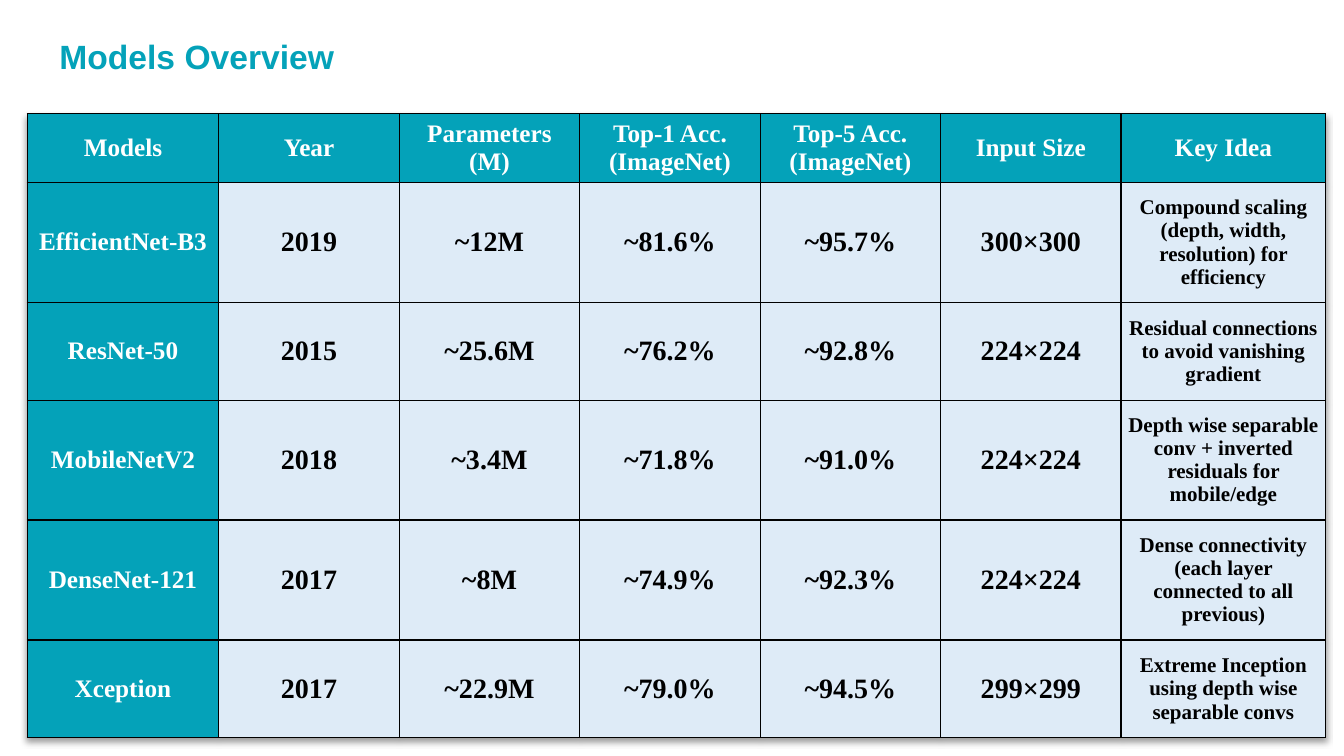
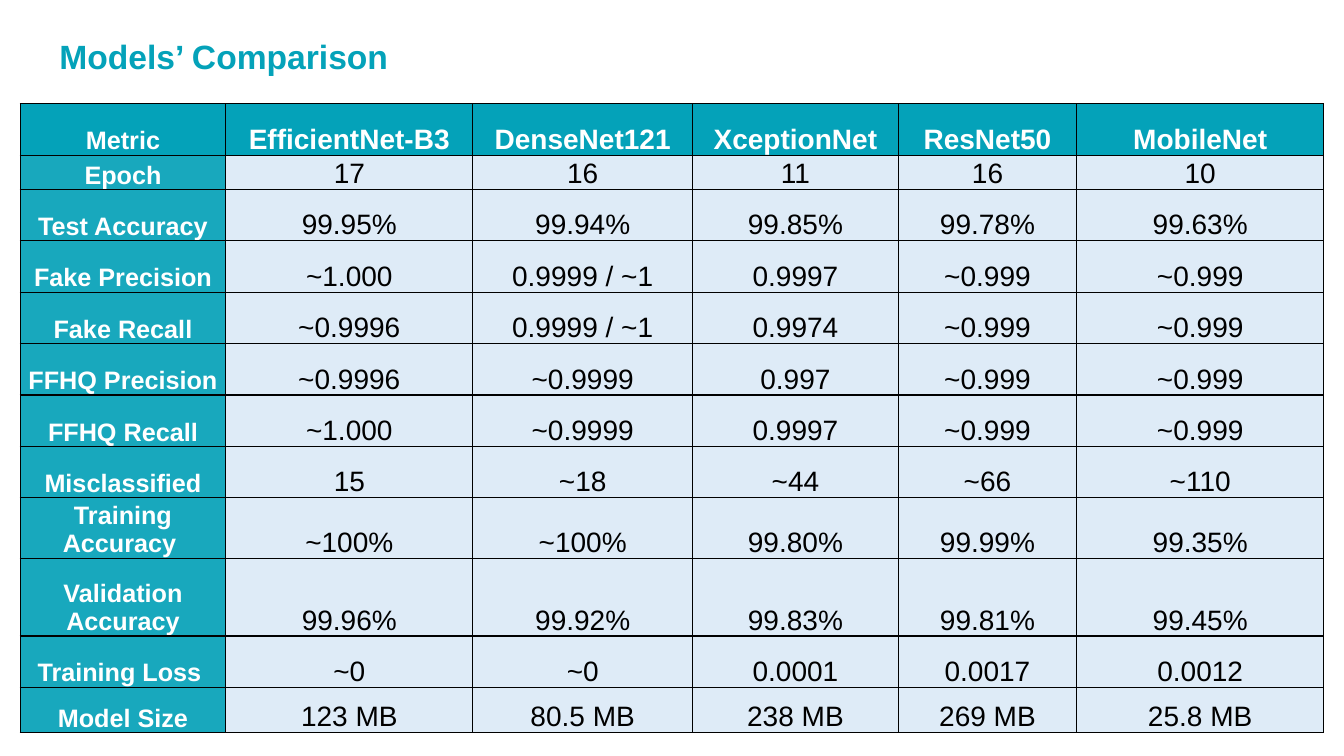
from dataclasses import dataclass

import lxml.etree
import pptx
import pptx.dml.color
import pptx.enum.text
import pptx.oxml
import pptx.oxml.ns
import pptx.presentation
import pptx.slide
import pptx.table
import pptx.util
from pptx.util import Inches

RGB = pptx.dml.color.RGBColor.from_string
ANCHOR = pptx.enum.text.MSO_ANCHOR
ALIGN = pptx.enum.text.PP_ALIGN


# Shared theme
@dataclass(frozen=True)
class Theme:
    teal: str = "04A2B9"
    light_teal: str = "18A8BD"
    pale_blue: str = "DEEBF7"
    white: str = "FFFFFF"
    black: str = "000000"
    sans: str = "Arial"
    serif: str = "Times New Roman"
    title_size: int = 24
    body_size: int = 20
    label_size: int = 18
    note_size: int = 15
    border_width: int = 1


THEME = Theme()


@dataclass(frozen=True)
class TextStyle:
    size: int
    color: str
    bold: bool


@dataclass(frozen=True)
class CellStyle:
    fill: str
    text: TextStyle


LABEL = TextStyle(THEME.label_size, THEME.white, True)


@dataclass(frozen=True)
class TableSlide:
    title: str
    left: float
    top: float
    column_widths: list[float]
    row_heights: list[float]
    rows: list[tuple[str, ...]]
    font: str
    anchor: ANCHOR
    vertical_margin: float
    corner: CellStyle
    header: CellStyle
    row_label: CellStyle
    body: CellStyle
    last_column: CellStyle
    shadow: bool = False

    def style_at(self, row: int, column: int) -> CellStyle:
        if row == 0:
            return self.header if column else self.corner
        if column == 0:
            return self.row_label
        is_last = column == len(self.column_widths) - 1
        return self.last_column if is_last else self.body


# Slide content
HEADER_LABEL = CellStyle(THEME.teal, LABEL)
OVERVIEW_BODY = TextStyle(THEME.body_size, THEME.black, True)
OVERVIEW_NOTE = TextStyle(THEME.note_size, THEME.black, True)

OVERVIEW = TableSlide(
    title="Models Overview",
    left=0.27,
    top=1.13,
    column_widths=[1.9] + [1.79] * 5 + [2.03],
    row_heights=[0.67, 1.19, 0.97, 1.19, 1.19, 0.97],
    rows=[
        ("Models", "Year", "Parameters (M)", "Top-1 Acc. (ImageNet)",
         "Top-5 Acc. (ImageNet)", "Input Size", "Key Idea"),
        ("EfficientNet-B3", "2019", "~12M", "~81.6%", "~95.7%", "300×300",
         "Compound scaling (depth, width, resolution) for efficiency"),
        ("ResNet-50", "2015", "~25.6M", "~76.2%", "~92.8%", "224×224",
         "Residual connections to avoid vanishing gradient"),
        ("MobileNetV2", "2018", "~3.4M", "~71.8%", "~91.0%", "224×224",
         "Depth wise separable conv + inverted residuals for mobile/edge"),
        ("DenseNet-121", "2017", "~8M", "~74.9%", "~92.3%", "224×224",
         "Dense connectivity (each layer connected to all previous)"),
        ("Xception", "2017", "~22.9M", "~79.0%", "~94.5%", "299×299",
         "Extreme Inception using depth wise separable convs"),
    ],
    font=THEME.serif,
    anchor=ANCHOR.MIDDLE,
    vertical_margin=0.04,
    corner=HEADER_LABEL,
    header=HEADER_LABEL,
    row_label=HEADER_LABEL,
    body=CellStyle(THEME.pale_blue, OVERVIEW_BODY),
    last_column=CellStyle(THEME.pale_blue, OVERVIEW_NOTE),
    shadow=True,
)

COMPARISON_HEADER = TextStyle(THEME.body_size, THEME.white, True)
COMPARISON_BODY = CellStyle(
    THEME.pale_blue, TextStyle(THEME.body_size, THEME.black, False))

COMPARISON = TableSlide(
    title="Models’ Comparison",
    left=0.2,
    top=1.03,
    column_widths=[2.04, 2.45, 2.18, 2.04, 1.77, 2.45],
    row_heights=[0.51, 0.34] + [0.51] * 6 + [0.6, 0.77, 0.51, 0.45],
    rows=[
        ("Metric", "EfficientNet-B3", "DenseNet121", "XceptionNet",
         "ResNet50", "MobileNet"),
        ("Epoch", "17", "16", "11", "16", "10"),
        ("Test Accuracy", "99.95%", "99.94%", "99.85%", "99.78%", "99.63%"),
        ("Fake Precision", "~1.000", "0.9999 / ~1", "0.9997", "~0.999", "~0.999"),
        ("Fake Recall", "~0.9996", "0.9999 / ~1", "0.9974", "~0.999", "~0.999"),
        ("FFHQ Precision", "~0.9996", "~0.9999", "0.997", "~0.999", "~0.999"),
        ("FFHQ Recall", "~1.000", "~0.9999", "0.9997", "~0.999", "~0.999"),
        ("Misclassified", "15", "~18", "~44", "~66", "~110"),
        ("Training Accuracy ", "~100%", "~100%", "99.80%", "99.99%", "99.35%"),
        ("Validation Accuracy", "99.96%", "99.92%", "99.83%", "99.81%", "99.45%"),
        ("Training Loss ", "~0", "~0", "0.0001", "0.0017", "0.0012"),
        ("Model Size", "123 MB", "80.5 MB", "238 MB", "269 MB", "25.8 MB"),
    ],
    font=THEME.sans,
    anchor=ANCHOR.BOTTOM,
    vertical_margin=0,
    corner=HEADER_LABEL,
    header=CellStyle(THEME.teal, COMPARISON_HEADER),
    row_label=CellStyle(THEME.light_teal, LABEL),
    body=COMPARISON_BODY,
    last_column=COMPARISON_BODY,
)


# Drawing helpers
def format_paragraph(paragraph, style: TextStyle, font_name: str, alignment: ALIGN) -> None:
    paragraph.alignment = alignment
    paragraph.font.name = font_name
    paragraph.font.size = pptx.util.Pt(style.size)
    paragraph.font.bold = style.bold
    paragraph.font.color.rgb = RGB(style.color)


def add_title(slide: pptx.slide.Slide, text: str) -> None:
    title = slide.shapes.title
    title.left, title.top = Inches(0.58), Inches(0.34)
    title.width, title.height = Inches(8.09), Inches(0.42)
    frame = title.text_frame
    frame.text = text
    frame.word_wrap = True
    frame.auto_size = pptx.enum.text.MSO_AUTO_SIZE.SHAPE_TO_FIT_TEXT
    frame.vertical_anchor = ANCHOR.MIDDLE
    frame.margin_left = frame.margin_top = Inches(0.01)
    frame.margin_right = frame.margin_bottom = 0
    style = TextStyle(THEME.title_size, THEME.teal, True)
    format_paragraph(frame.paragraphs[0], style, THEME.sans, ALIGN.LEFT)


def set_borders(cell: pptx.table._Cell) -> None:
    properties = cell._tc.get_or_add_tcPr()
    width = pptx.util.Pt(THEME.border_width)
    for index, side in enumerate(("lnL", "lnR", "lnT", "lnB")):
        line = pptx.oxml.parse_xml(
            f'<a:{side} {pptx.oxml.ns.nsdecls("a")} w="{width}"><a:solidFill>'
            f'<a:srgbClr val="{THEME.black}"/></a:solidFill></a:{side}>')
        properties.insert(index, line)


def add_table_shadow(table: pptx.table.Table) -> None:
    effects = pptx.oxml.parse_xml(
        f'<a:effectLst {pptx.oxml.ns.nsdecls("a")}>'
        '<a:outerShdw blurRad="50800" dist="38100" dir="5400000" algn="t" rotWithShape="0">'
        f'<a:srgbClr val="{THEME.black}"><a:alpha val="40000"/></a:srgbClr>'
        '</a:outerShdw></a:effectLst>')
    table._tbl.tblPr.insert(0, effects)


def fill_cell(cell: pptx.table._Cell, text: str, style: CellStyle, design: TableSlide) -> None:
    cell.text = text
    cell.fill.solid()
    cell.fill.fore_color.rgb = RGB(style.fill)
    cell.vertical_anchor = design.anchor
    cell.margin_left = cell.margin_right = Inches(0.07)
    cell.margin_top = cell.margin_bottom = Inches(design.vertical_margin)
    format_paragraph(cell.text_frame.paragraphs[0], style.text, design.font, ALIGN.CENTER)
    set_borders(cell)


def add_table(slide: pptx.slide.Slide, design: TableSlide) -> None:
    table = slide.shapes.add_table(
        len(design.row_heights), len(design.column_widths),
        Inches(design.left), Inches(design.top),
        Inches(sum(design.column_widths)), Inches(sum(design.row_heights))).table
    table.horz_banding = False
    for column, width in zip(table.columns, design.column_widths):
        column.width = Inches(width)
    for row, height in zip(table.rows, design.row_heights):
        row.height = Inches(height)
    for row_index, texts in enumerate(design.rows):
        for column_index, text in enumerate(texts):
            style = design.style_at(row_index, column_index)
            fill_cell(table.cell(row_index, column_index), text, style, design)
    if design.shadow:
        add_table_shadow(table)


def add_table_slide(presentation: pptx.presentation.Presentation, design: TableSlide) -> None:
    title_only = presentation.slide_layouts.get_by_name("Title Only")
    slide = presentation.slides.add_slide(title_only)
    add_title(slide, design.title)
    add_table(slide, design)


def main() -> None:
    presentation = pptx.Presentation()
    presentation.slide_width = Inches(13.33)
    presentation.slide_height = Inches(7.5)
    for design in (OVERVIEW, COMPARISON):
        add_table_slide(presentation, design)
    presentation.save("out.pptx")


if __name__ == "__main__":
    main()
